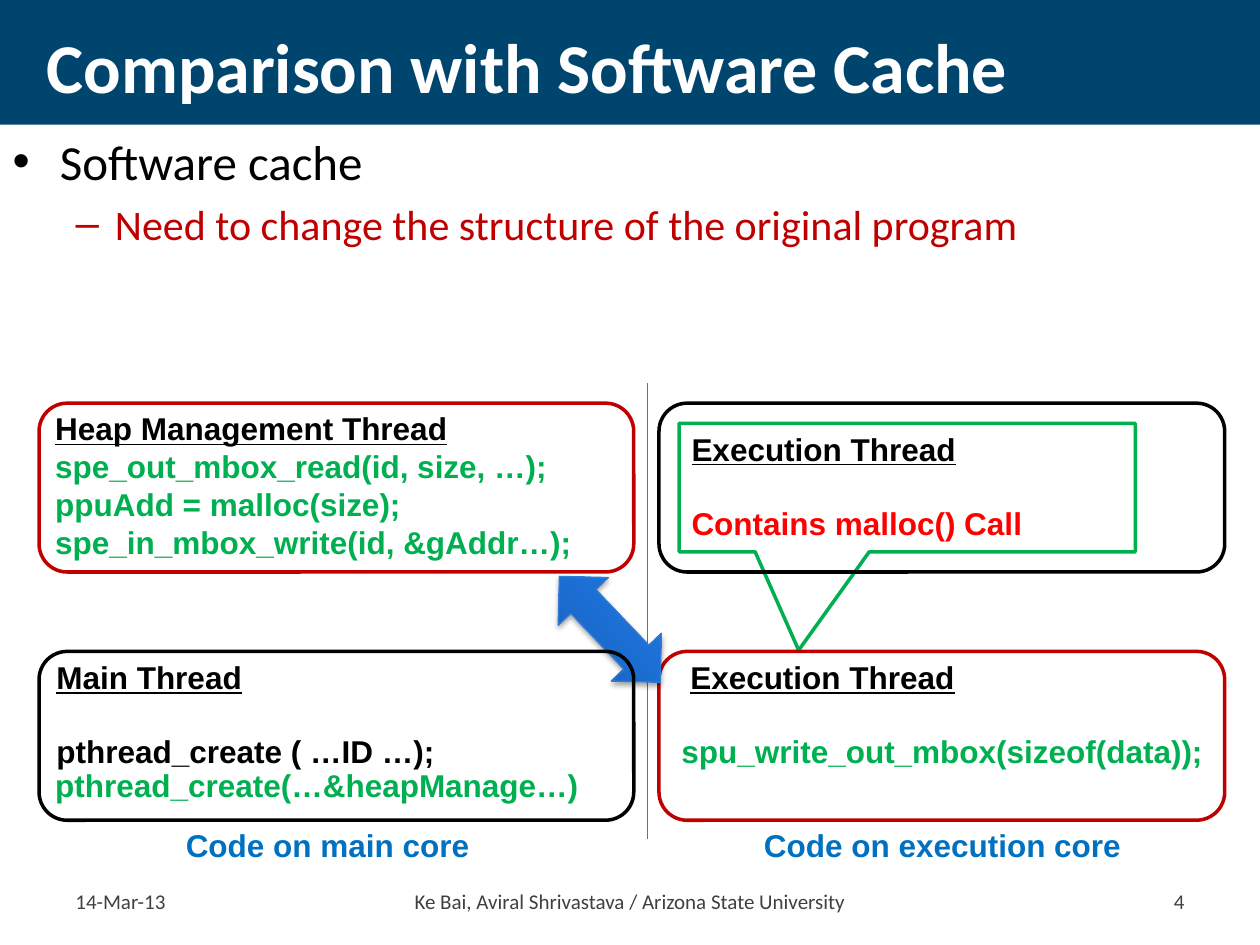
"""Build a slide comparing heap management threads with a software cache."""
from lxml import etree
from pptx import Presentation
from pptx.dml.color import RGBColor
from pptx.enum.shapes import MSO_CONNECTOR, MSO_SHAPE
from pptx.enum.text import MSO_ANCHOR, MSO_AUTO_SIZE, PP_ALIGN
from pptx.oxml import parse_xml
from pptx.oxml.ns import nsdecls, qn
from pptx.util import Inches, Pt

LEFT, CENTER, RIGHT = PP_ALIGN.LEFT, PP_ALIGN.CENTER, PP_ALIGN.RIGHT
TOP, MIDDLE = MSO_ANCHOR.TOP, MSO_ANCHOR.MIDDLE
RECTANGLE, ROUNDED = MSO_SHAPE.RECTANGLE, MSO_SHAPE.ROUNDED_RECTANGLE
CALLOUT, DOUBLE_ARROW = MSO_SHAPE.RECTANGULAR_CALLOUT, MSO_SHAPE.LEFT_RIGHT_ARROW
STRAIGHT, NO_AUTOFIT = MSO_CONNECTOR.STRAIGHT, MSO_AUTO_SIZE.NONE

NAVY = RGBColor(0x00, 0x45, 0x6E)
WHITE = RGBColor(0xFF, 0xFF, 0xFF)
BLACK = RGBColor(0x00, 0x00, 0x00)
GRAY = RGBColor(0x40, 0x40, 0x40)
DARK_RED = RGBColor(0xC0, 0x00, 0x00)
RED = RGBColor(0xFF, 0x00, 0x00)
GREEN = RGBColor(0x00, 0xB0, 0x50)
BLUE = RGBColor(0x00, 0x70, 0xC0)
EDGE_BLUE = RGBColor(0x32, 0x7B, 0xD4)
GRADIENT = ((0, RGBColor(0x17, 0x5C, 0xB1)), (80, RGBColor(0x1E, 0x78, 0xE5)),
            (100, RGBColor(0x1B, 0x78, 0xEA)))

WIDTH, HEIGHT = 10, 7.5
MAIN_COLUMN, EXECUTION_COLUMN = (0.31, 4.72), (5.23, 4.49)
UPPER_ROW, LOWER_ROW, BOX_HEIGHT = 3.2, 5.17, 1.34
CAPTION_TOP = LOWER_ROW + BOX_HEIGHT
FOOTER_TOP, FOOTER_HEIGHT = 6.95, 0.4
BLANK_LINE = 20.7


def inches(*lengths):
    """Convert lengths in inches to slide units."""
    return [Inches(length) for length in lengths]


def write(paragraph, text, size=18, font="Arial", color=BLACK, bold=True,
          underline=False, align=LEFT, before=None, indent=0):
    """Fill one paragraph with formatted text."""
    if indent:
        paragraph._p.get_or_add_pPr().set("indent", str(Inches(indent)))
    paragraph.alignment = align
    if before is not None:
        paragraph.space_before = Pt(before)
    run = paragraph.add_run()
    run.text = text
    run.font.size, run.font.name = Pt(size), font
    run.font.bold, run.font.underline = bold, underline
    run.font.color.rgb = color


def add_text(slide, bounds, lines, anchor=TOP):
    """Add a wrapping text box holding (text, format) lines."""
    frame = slide.shapes.add_textbox(*inches(*bounds)).text_frame
    frame.word_wrap, frame.vertical_anchor = True, anchor
    for index, (text, style) in enumerate(lines):
        write(frame.add_paragraph() if index else frame.paragraphs[0], text, **style)


def add_outline(slide, kind, bounds, color, weight=2):
    """Add an unfilled preset shape with a coloured outline."""
    shape = slide.shapes.add_shape(kind, *inches(*bounds))
    shape.shadow.inherit = False
    shape.fill.background()
    shape.line.color.rgb, shape.line.width = color, Pt(weight)
    return shape


def add_thread_box(slide, column, top, color):
    """Add a rounded thread box in one cell of the grid."""
    left, width = column
    add_outline(slide, ROUNDED, (left, top, width, BOX_HEIGHT), color)


def add_band(slide):
    """Add the title band behind every other shape."""
    band = slide.shapes.add_shape(RECTANGLE, *inches(0, 0, WIDTH, 0.99))
    band.shadow.inherit = False
    band.fill.solid()
    band.fill.fore_color.rgb = NAVY
    band.line.fill.background()
    slide.shapes._spTree.insert(2, band._element)


def add_divider(slide):
    """Add the thin line between the two cores."""
    line = slide.shapes.add_connector(STRAIGHT, *inches(5.14, 3.04, 5.14, 6.66))
    line.line.color.rgb, line.line.width = EDGE_BLUE, Pt(0.75)
    etree.SubElement(line._element.spPr, qn("a:effectLst"))


def add_exchange_arrow(slide):
    """Add the shaded arrow linking heap manager and execution thread."""
    arrow = add_outline(slide, DOUBLE_ARROW, (4.26, 4.72, 1.16, 0.55), EDGE_BLUE, 0.75)
    arrow.rotation = 46.4
    properties = arrow._element.spPr
    stops = "".join(f'<a:gs pos="{position * 1000}"><a:srgbClr val="{color}"/></a:gs>'
                    for position, color in GRADIENT)
    gradient = parse_xml(f'<a:gradFill {nsdecls("a")} rotWithShape="1"><a:gsLst>{stops}'
                         '</a:gsLst><a:lin ang="16200000" scaled="0"/></a:gradFill>')
    properties.replace(properties.find(qn("a:noFill")), gradient)
    properties.find(qn("a:effectLst")).append(parse_xml(
        f'<a:outerShdw {nsdecls("a")} blurRad="{Pt(3.1)}" dist="{Pt(1.8)}" dir="5400000" '
        'rotWithShape="0"><a:srgbClr val="000000"><a:alpha val="35000"/></a:srgbClr>'
        '</a:outerShdw>'))


def place(placeholder, bounds):
    """Move a placeholder and return its text frame."""
    placeholder.left, placeholder.top, placeholder.width, placeholder.height = inches(*bounds)
    placeholder.text_frame.auto_size = NO_AUTOFIT
    return placeholder.text_frame


def fill_placeholders(slide):
    """Write the title and the bullet list."""
    title = place(slide.shapes.title, (0.27, 0.1, 9.45, 0.84))
    title.word_wrap, title.vertical_anchor = False, MIDDLE
    write(title.paragraphs[0], "Comparison with Software Cache", size=40,
          font="Calibri", color=WHITE)
    body = place(slide.placeholders[1], (0, 0.99, WIDTH, 1.81))
    write(body.paragraphs[0], "Software cache", size=28, font="Calibri", bold=False)
    detail = body.add_paragraph()
    detail.level = 1
    write(detail, "Need to change the structure of the original program", size=24,
          font="Calibri", color=DARK_RED, bold=False)


def add_footer(slide):
    """Add date, authors and slide number."""
    for left, width, text, align in (
            (0.5, 1.19, "14-Mar-13", LEFT),
            (1.85, 6.3, "Ke Bai, Aviral Shrivastava / Arizona State University", CENTER),
            (8.31, 1.19, "4", RIGHT)):
        style = dict(size=12, font="Calibri", color=GRAY, bold=False, align=align)
        add_text(slide, (left, FOOTER_TOP, width, FOOTER_HEIGHT), [(text, style)], MIDDLE)


def add_diagram(slide):
    """Add the four threads, their code and the links between them."""
    heading, code = dict(underline=True), dict(color=GREEN)
    caption = dict(color=BLUE, align=CENTER)
    add_divider(slide)
    callout = add_outline(slide, CALLOUT, (5.39, 3.36, 3.62, 1.02), GREEN)
    callout.adjustments[0], callout.adjustments[1] = -0.238, 1.265
    add_thread_box(slide, EXECUTION_COLUMN, LOWER_ROW, DARK_RED)
    add_text(slide, (0.67, CAPTION_TOP, 3.86, 0.4), [("Code on main core", caption)])
    add_text(slide, (5.39, CAPTION_TOP, 4.18, 0.4), [("Code on execution core", caption)])
    add_text(slide, (5.39, 3.36, 3.7, 1.01), [
        ("Execution Thread", heading),
        ("Contains malloc() Call", dict(color=RED, before=BLANK_LINE))])
    add_text(slide, (5.31, LOWER_ROW, 4.49, 1.01), [
        ("Execution Thread", dict(underline=True, indent=0.07)),
        ("spu_write_out_mbox(sizeof(data));", dict(color=GREEN, before=BLANK_LINE))])
    add_thread_box(slide, MAIN_COLUMN, UPPER_ROW, DARK_RED)
    add_text(slide, (0.34, UPPER_ROW, 4.7, 1.31), [
        ("Heap Management Thread", heading),
        ("spe_out_mbox_read(id, size, …);", code),
        ("ppuAdd = malloc(size);", code),
        ("spe_in_mbox_write(id, &gAddr…);", code)])
    add_exchange_arrow(slide)
    add_thread_box(slide, MAIN_COLUMN, LOWER_ROW, BLACK)
    add_text(slide, (0.35, LOWER_ROW, 4.57, 1.31), [
        ("Main Thread", heading),
        ("pthread_create ( …ID …);", dict(before=BLANK_LINE))])
    add_text(slide, (0.34, 6.03, 4.57, 0.4), [("pthread_create(…&heapManage…)", code)])
    add_thread_box(slide, EXECUTION_COLUMN, UPPER_ROW, BLACK)


def main():
    """Create and save the presentation."""
    presentation = Presentation()
    presentation.slide_width, presentation.slide_height = inches(WIDTH, HEIGHT)
    slide = presentation.slides.add_slide(presentation.slide_layouts[1])
    add_band(slide)
    fill_placeholders(slide)
    add_footer(slide)
    add_diagram(slide)
    presentation.save("out.pptx")


if __name__ == "__main__":
    main()
